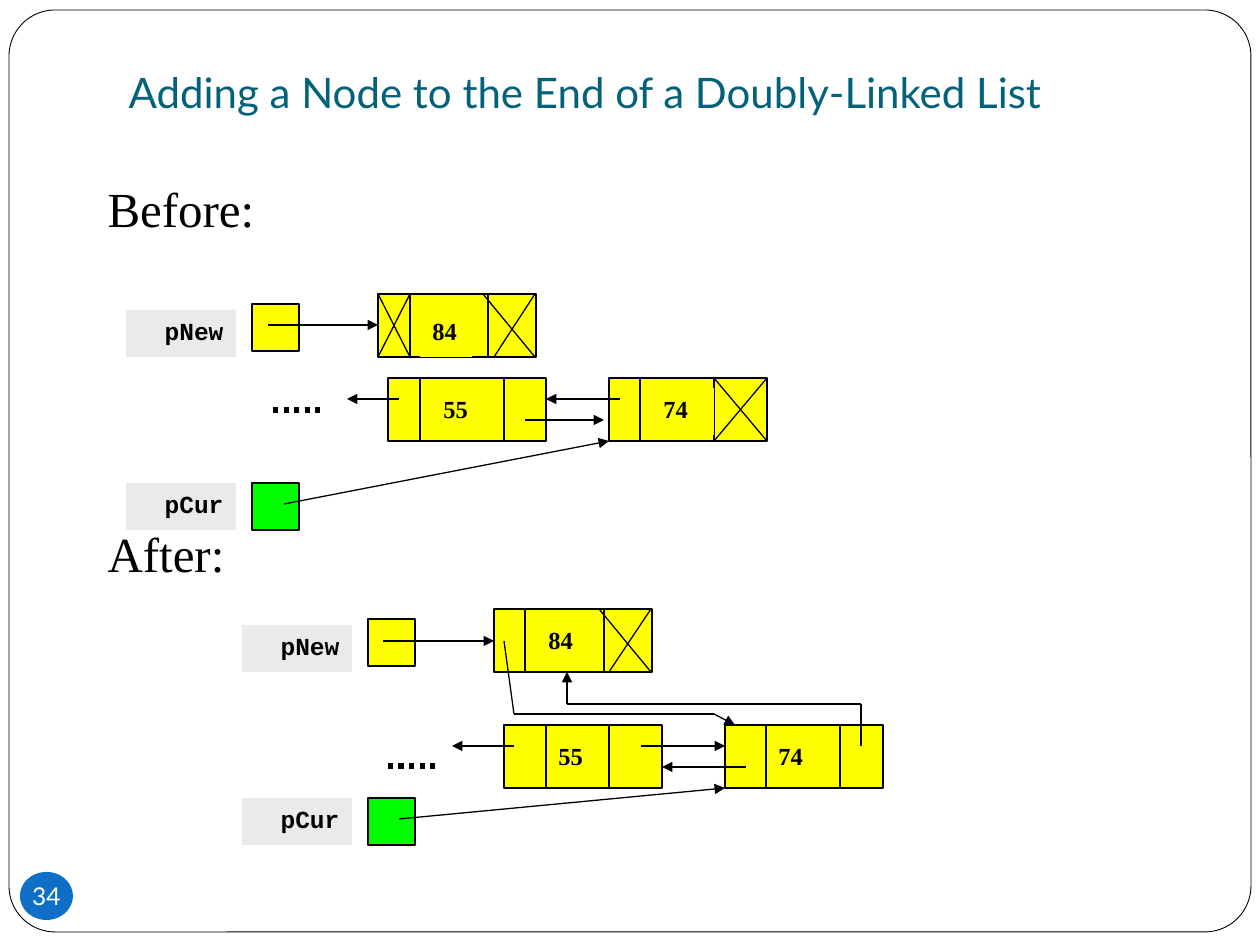
from dataclasses import dataclass
from itertools import pairwise

import pptx
import pptx.chart.data
import pptx.dml.color
import pptx.enum.dml
import pptx.enum.shapes
import pptx.enum.text
import pptx.oxml.ns
import pptx.util
from lxml import etree

SCALE = 914400 / 126
BLACK, WHITE, YELLOW, GREEN, GREY = "000000", "FFFFFF", "FFFF00", "00FF00", "EAEAEA"
KIND = pptx.enum.shapes.MSO_SHAPE
ALIGN = pptx.enum.text.PP_ALIGN
ANCHOR = pptx.enum.text.MSO_ANCHOR
SERIF, MONO, SANS = "Times New Roman", "Courier New", "Lato"
WIDE, HIGH, SIDE = 158, 63, 47


@dataclass
class Node:
    text: str
    x: int
    y: int
    left: int
    right: int
    start: int
    width: int
    drop: int = 10


@dataclass
class Pointer:
    name: str
    x: int
    y: int
    color: str
    drop: int = 0


@dataclass
class Trace:
    points: list[tuple[int, int]]
    arrow: bool = True


NODES = [
    Node("84", 378, 294, 32, 110, 42, 52, 16),
    Node("55", 388, 378, 32, 116, 43, 52),
    Node("74", 609, 378, 31, 105, 42, 63),
    Node("84", 494, 609, 31, 110, 42, 63),
    Node("55", 504, 725, 42, 105, 42, 58),
    Node("74", 725, 725, 41, 115, 41, 68),
]
POINTERS = [
    Pointer("pNew", 252, 304, YELLOW, 6),
    Pointer("pCur", 252, 483, GREEN),
    Pointer("pNew", 368, 619, YELLOW, 6),
    Pointer("pCur", 368, 798, GREEN),
]
TRACES = [
    Trace([(268, 325), (378, 325)]),
    Trace([(525, 420), (604, 420)]),
    Trace([(399, 399), (347, 399)]),
    Trace([(620, 399), (546, 399)]),
    Trace([(284, 504), (609, 441)]),
    Trace([(383, 641), (494, 641)]),
    Trace([(514, 746), (452, 746)]),
    Trace([(746, 767), (662, 767)]),
    Trace([(641, 746), (725, 746)]),
    Trace([(399, 819), (725, 788)]),
    Trace([(861, 746), (861, 704), (567, 704), (567, 672)]),
    Trace([(504, 641), (514, 714), (714, 714), (735, 725)]),
    Trace([(378, 294), (410, 357)], False),
    Trace([(410, 294), (378, 357)], False),
    Trace([(483, 294), (535, 357)], False),
    Trace([(535, 294), (494, 357)], False),
    Trace([(714, 378), (767, 441)], False),
    Trace([(767, 378), (714, 441)], False),
    Trace([(599, 609), (651, 672)], False),
    Trace([(651, 609), (609, 672)], False),
]
DOTS = [(273, 410), (388, 766)]


def px(size: int) -> int:
    return round(size * SCALE)


def rgb(color: str) -> pptx.dml.color.RGBColor:
    return pptx.dml.color.RGBColor.from_string(color)


def style(para, face: str, size: int, color: str, bold: bool = False) -> None:
    font = para.font
    font.name, font.size, font.bold = face, pptx.util.Pt(size), bold
    font.color.rgb = rgb(color)


def place(shape, x: int, y: int, w: int, h: int) -> None:
    shape.left, shape.top, shape.width, shape.height = map(px, (x, y, w, h))


def block(shapes, x: int, y: int, w: int, h: int, fill: str | None,
          edge: float = 0, kind=KIND.RECTANGLE):
    shape = shapes.add_shape(kind, px(x), px(y), px(w), px(h))
    shape.shadow.inherit = False
    if fill:
        shape.fill.solid()
        shape.fill.fore_color.rgb = rgb(fill)
    else:
        shape.fill.background()
    if edge:
        shape.line.color.rgb = rgb(BLACK)
        shape.line.width = pptx.util.Pt(edge)
    else:
        shape.line.fill.background()
    return shape


def write(shape, text: str, face: str, align, color: str = BLACK,
          bold: bool = True, anchor=ANCHOR.TOP) -> None:
    frame = shape.text_frame
    frame.word_wrap = True
    frame.vertical_anchor = anchor
    para = frame.paragraphs[0]
    para.text, para.alignment = text, align
    style(para, face, 14, color, bold)


def stroke(shapes, start: tuple[int, int], end: tuple[int, int],
           width: float = 0.75, arrow: bool = False):
    line = shapes.add_connector(
        pptx.enum.shapes.MSO_CONNECTOR.STRAIGHT, *map(px, start + end))
    line.line.color.rgb = rgb(BLACK)
    line.line.width = pptx.util.Pt(width)
    tag = pptx.oxml.ns.qn
    if arrow:
        etree.SubElement(line.line._get_or_add_ln(), tag("a:tailEnd"), type="triangle")
    etree.SubElement(line._element.spPr, tag("a:effectLst"))
    return line


def draw_node(shapes, node: Node) -> None:
    def split(gap: int) -> None:
        x = node.x + gap
        stroke(shapes, (x, node.y), (x, node.y + HIGH))

    block(shapes, node.x, node.y, WIDE, HIGH, YELLOW, 0.75)
    split(node.right)
    label = block(shapes, node.x + node.start, node.y + node.drop, node.width, SIDE, YELLOW)
    write(label, node.text, SERIF, ALIGN.LEFT)
    split(node.left)


def draw_pointer(shapes, item: Pointer) -> None:
    block(shapes, item.x, item.y, SIDE, SIDE, item.color, 0.75)
    label = block(shapes, item.x - 126, item.y + item.drop, 110, SIDE, GREY)
    write(label, item.name, MONO, ALIGN.RIGHT)


def draw_trace(shapes, trace: Trace) -> None:
    last = trace.points[-1]
    for start, end in pairwise(trace.points):
        stroke(shapes, start, end, arrow=trace.arrow and end == last)


def fill_text(slide) -> None:
    title, body = slide.placeholders
    place(title, 116, 31, 1071, 105)
    frame = title.text_frame
    frame.text = "Adding a Node to the End of a Doubly-Linked List"
    frame.vertical_anchor = ANCHOR.BOTTOM
    frame.margin_bottom = px(19)
    frame.paragraphs[0].alignment = ALIGN.LEFT
    style(frame.paragraphs[0], SANS, 24, "04617B")

    place(body, 95, 179, 1124, 683)
    frame = body.text_frame
    frame.text = "Before:\nAfter:"
    frame.margin_top = px(11)
    for para, gap in zip(frame.paragraphs, (0, 170)):
        props = para._p.get_or_add_pPr()
        props.set("marL", "0")
        props.set("indent", "0")
        etree.SubElement(props, pptx.oxml.ns.qn("a:buNone"))
        para.line_spacing = 0.8
        para.space_before = pptx.util.Pt(gap)
        style(para, SERIF, 28, BLACK)


def main() -> None:
    deck = pptx.Presentation()
    deck.slide_width, deck.slide_height = px(1260), px(945)
    slide = deck.slides.add_slide(deck.slide_layouts[1])
    shapes = slide.shapes
    fill_text(slide)
    border = block(shapes, 9, 10, 1242, 922, None, 0.5, KIND.ROUNDED_RECTANGLE)
    border.adjustments[0] = 0.05
    badge = block(shapes, 20, 872, 53, 48, "0F6FC6", kind=KIND.OVAL)
    frame = badge.text_frame
    frame.margin_left = frame.margin_right = frame.margin_top = frame.margin_bottom = 0
    write(badge, "34", SANS, ALIGN.CENTER, WHITE, False, ANCHOR.MIDDLE)
    for item in POINTERS:
        draw_pointer(shapes, item)
    for node in NODES:
        draw_node(shapes, node)
    for trace in TRACES:
        draw_trace(shapes, trace)
    for x, y in DOTS:
        line = stroke(shapes, (x, y), (x + 48, y), 3)
        line.line.dash_style = pptx.enum.dml.MSO_LINE.ROUND_DOT
    deck.save("out.pptx")


if __name__ == "__main__":
    main()
